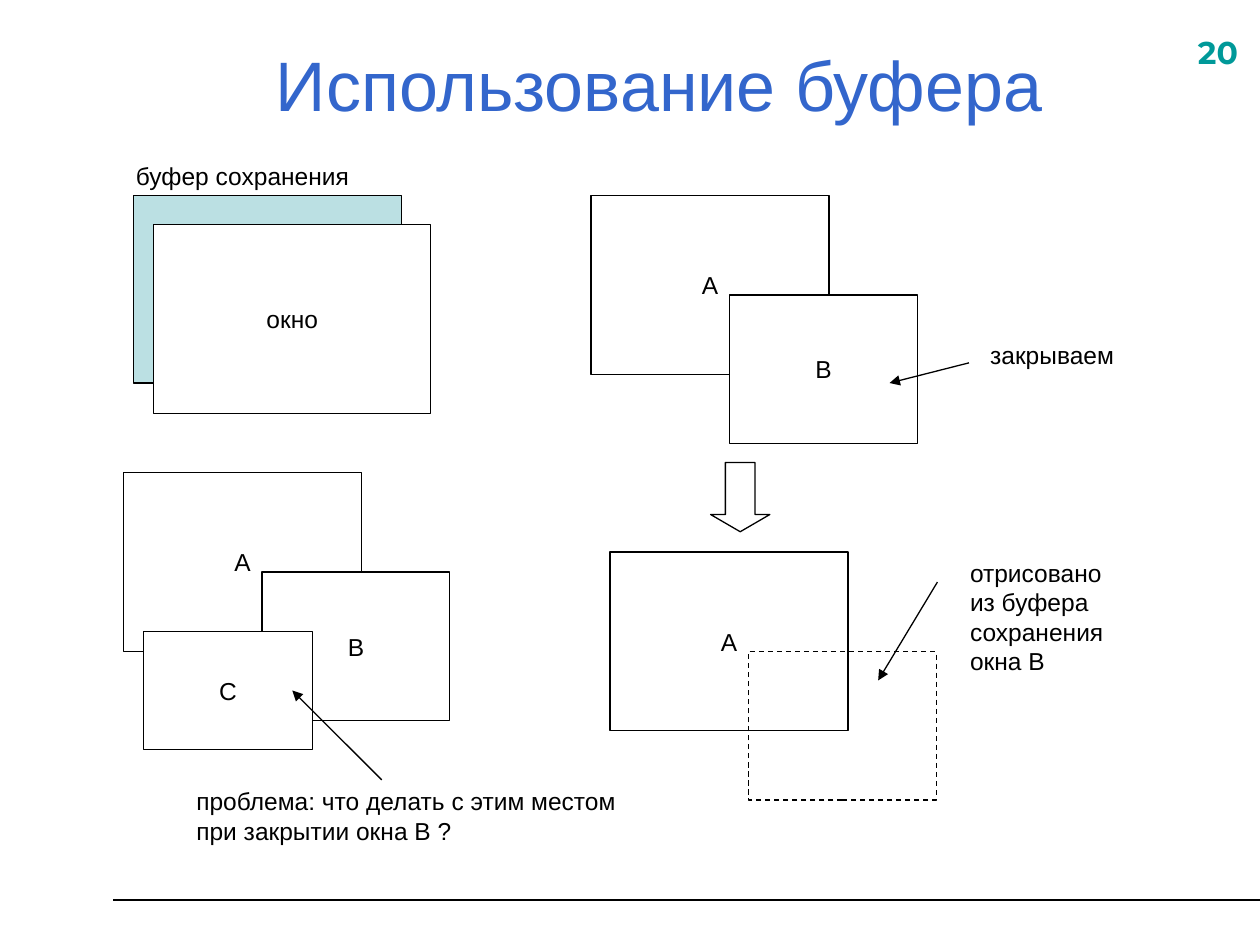
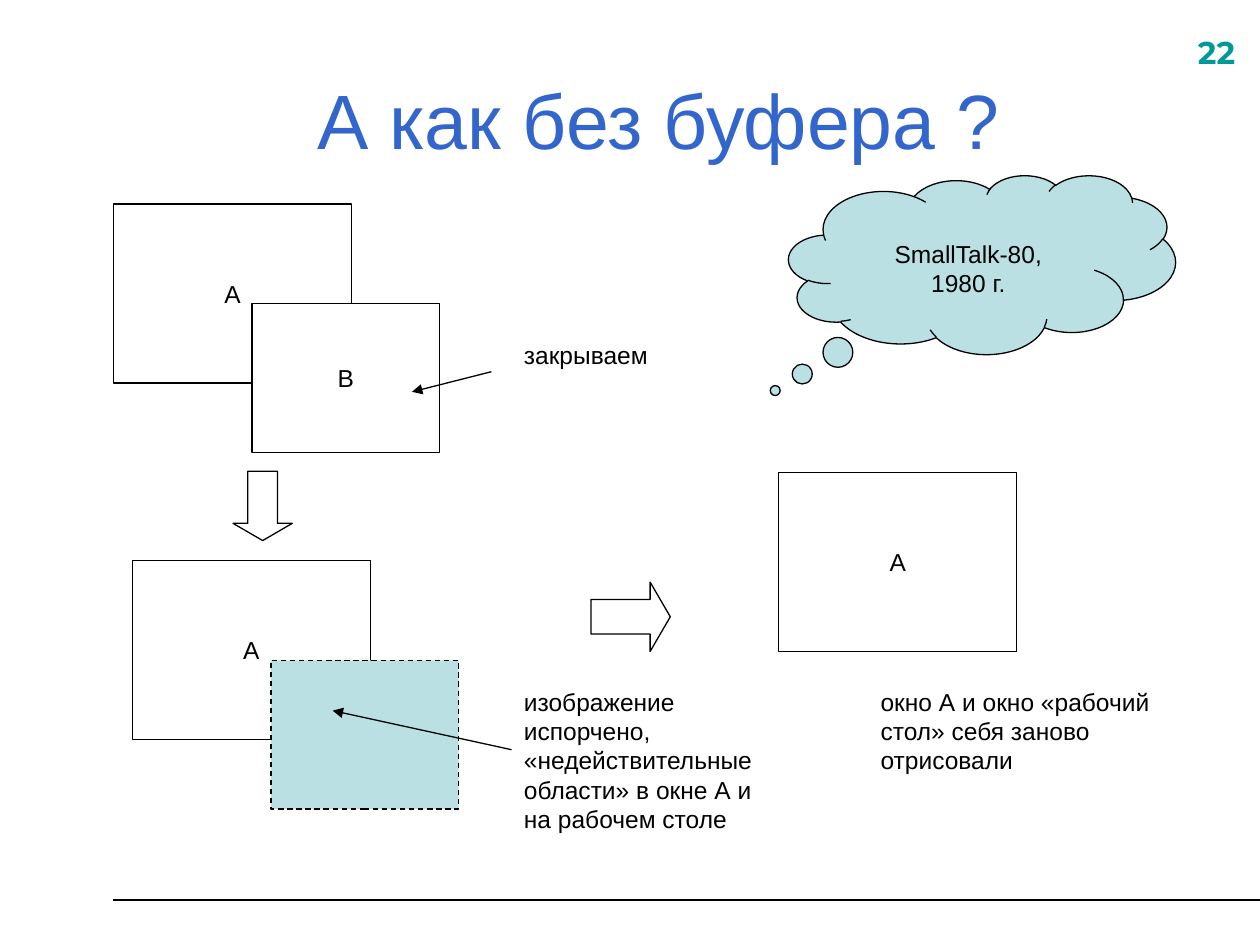
from lxml.etree import SubElement
from pptx import Presentation
from pptx.dml.color import RGBColor
from pptx.enum.dml import MSO_LINE as Dash
from pptx.enum.shapes import MSO_CONNECTOR as Connector, MSO_SHAPE as Preset
from pptx.enum.text import MSO_ANCHOR as Anchor, MSO_AUTO_SIZE as AutoSize, PP_ALIGN as Align
from pptx.oxml.ns import qn
from pptx.util import Inches, Pt

BLACK, WHITE, AQUA, BLUE, TEAL = "000000", "FFFFFF", "BBE0E3", "3366CC", "009999"
WINDOW_A = (1.89, 1.42)
WINDOW_B = (1.49, 1.18)
WINDOW_C = (1.34, 0.94)
B_OFFSET = (1.1, 0.79)


def color(value):
    return RGBColor.from_string(value)


def write(frame, text, size=14, ink=BLACK, font="Arial", bold=False, align=Align.LEFT):
    frame.text = text
    for para in frame.paragraphs:
        para.alignment = align
        for span in para.runs:
            span.font.size = Pt(size)
            span.font.name = font
            span.font.bold = bold
            span.font.color.rgb = color(ink)


def add_label(shapes, text, box, **style):
    label = shapes.add_textbox(*map(Inches, box))
    label.text_frame.word_wrap = True
    write(label.text_frame, text, **style)


def add_figure(shapes, preset, box, fill=WHITE):
    figure = shapes.add_shape(preset, *map(Inches, box))
    figure.shadow.inherit = False
    if fill:
        figure.fill.solid()
        figure.fill.fore_color.rgb = color(fill)
    else:
        figure.fill.background()
    figure.line.color.rgb = color(BLACK)
    figure.line.width = Pt(0.75)
    return figure


def add_window(shapes, name, left, top, size):
    window = add_figure(shapes, Preset.RECTANGLE, (left, top, *size))
    window.text_frame.word_wrap = False
    window.text_frame.vertical_anchor = Anchor.MIDDLE
    write(window.text_frame, name, align=Align.CENTER)


def add_block_arrow(shapes, preset, box, head):
    arrow = add_figure(shapes, preset, box)
    arrow.adjustments[0] = 0.5
    arrow.adjustments[1] = head


def add_line(shapes, start, end, width=0.75, arrow=True):
    line = shapes.add_connector(Connector.STRAIGHT, *map(Inches, (*start, *end)))
    line.line.color.rgb = color(BLACK)
    line.line.width = Pt(width)
    if arrow:
        SubElement(line.line._get_or_add_ln(), qn("a:tailEnd"), type="triangle")
    SubElement(line._element.spPr, qn("a:effectLst"))


def add_page(deck, number, heading, height, size):
    page = deck.slides.add_slide(deck.slide_layouts[5])
    title = page.shapes.title
    title.left, title.top, title.width, title.height = map(Inches, (0.73, 0.32, 9, height))
    title.text_frame.auto_size = AutoSize.NONE
    title.text_frame.vertical_anchor = Anchor.MIDDLE
    write(title.text_frame, heading, size, BLUE, align=Align.CENTER)
    add_line(page.shapes, (0.9, 7.14), (10, 7.14), 1.25, arrow=False)
    add_label(page.shapes, number, (9.41, 0.21, 0.63, 0.44),
              size=18, ink=TEAL, font="Montserrat", bold=True)
    return page.shapes


def add_buffered_window(shapes, left, top):
    group = shapes.add_group_shape().shapes
    add_figure(group, Preset.RECTANGLE, (left + 0.08, top + 0.32, 2.13, 1.49), AQUA)
    add_window(group, "окно", left + 0.24, top + 0.55, (2.2, 1.5))
    add_label(group, "буфер сохранения", (left, top, 2.36, 0.34))


def add_overlap(shapes, left, top):
    add_window(shapes, "А", left, top, WINDOW_A)
    add_window(shapes, "B", left + B_OFFSET[0], top + B_OFFSET[1], WINDOW_B)


def add_closing(shapes, left, top, gap_fill):
    add_overlap(shapes, left, top)
    add_line(shapes, (left + 3, top + 1.33), (left + 2.37, top + 1.49))
    add_block_arrow(shapes, Preset.DOWN_ARROW, (left + 0.95, top + 2.12, 0.47, 0.55), 0.29)
    after_left, after_top = left + 0.15, top + 2.83
    add_window(shapes, "А", after_left, after_top, WINDOW_A)
    gap = add_figure(shapes, Preset.RECTANGLE,
                     (after_left + B_OFFSET[0], after_top + B_OFFSET[1], *WINDOW_B), gap_fill)
    gap.line.dash_style = Dash.DASH


def add_problem(shapes, left, top):
    add_overlap(shapes, left, top)
    add_window(shapes, "C", left + 0.16, top + 1.26, WINDOW_C)
    add_line(shapes, (left + 2.05, top + 2.44), (left + 1.34, top + 1.73))
    add_label(shapes, "проблема: что делать с этим местом при закрытии окна B ?",
              (left + 0.48, top + 2.44, 3.86, 0.57))


def add_cloud(shapes, box):
    cloud = add_figure(shapes, Preset.CLOUD_CALLOUT, box, AQUA)
    cloud.adjustments[0] = -0.535
    cloud.adjustments[1] = 0.704
    cloud.text_frame.vertical_anchor = Anchor.TOP
    cloud.text_frame.margin_top = Inches(0.29)
    write(cloud.text_frame, "SmallTalk-80,\n1980 г.", align=Align.CENTER)


def build_buffer_page(deck):
    shapes = add_page(deck, "20", "Использование буфера", 0.68, 40)
    add_buffered_window(shapes, 0.98, 1.23)
    add_closing(shapes, 4.69, 1.55, None)
    add_label(shapes, "закрываем", (7.76, 2.65, 2.05, 0.34))
    add_line(shapes, (7.44, 4.62), (6.97, 5.4))
    add_label(shapes, "отрисовано \vиз буфера сохранения \vокна B", (7.6, 4.38, 1.81, 1.04))
    add_problem(shapes, 0.98, 3.75)


def build_bufferless_page(deck):
    shapes = add_page(deck, "22", "А как без буфера ?", 1.25, 44)
    add_closing(shapes, 0.9, 1.62, AQUA)
    add_label(shapes, "закрываем", (4.06, 2.65, 1.26, 0.34))
    add_line(shapes, (4.06, 5.95), (2.64, 5.64))
    add_label(shapes, "изображение испорчено, «недействительные области» в окне А и на рабочем столе",
              (4.06, 5.4, 2.05, 1.27))
    add_block_arrow(shapes, Preset.RIGHT_ARROW, (4.69, 4.62, 0.63, 0.55), 0.29)
    add_window(shapes, "А", 6.18, 3.75, WINDOW_A)
    add_label(shapes, "окно А и окно «рабочий стол» себя заново отрисовали",
              (6.89, 5.4, 2.68, 0.8))
    add_cloud(shapes, (6.26, 1.39, 3.07, 1.42))


def main():
    deck = Presentation()
    deck.slide_width, deck.slide_height = Inches(10), Inches(7.5)
    build_buffer_page(deck)
    build_bufferless_page(deck)
    deck.save("out.pptx")


if __name__ == "__main__":
    main()
